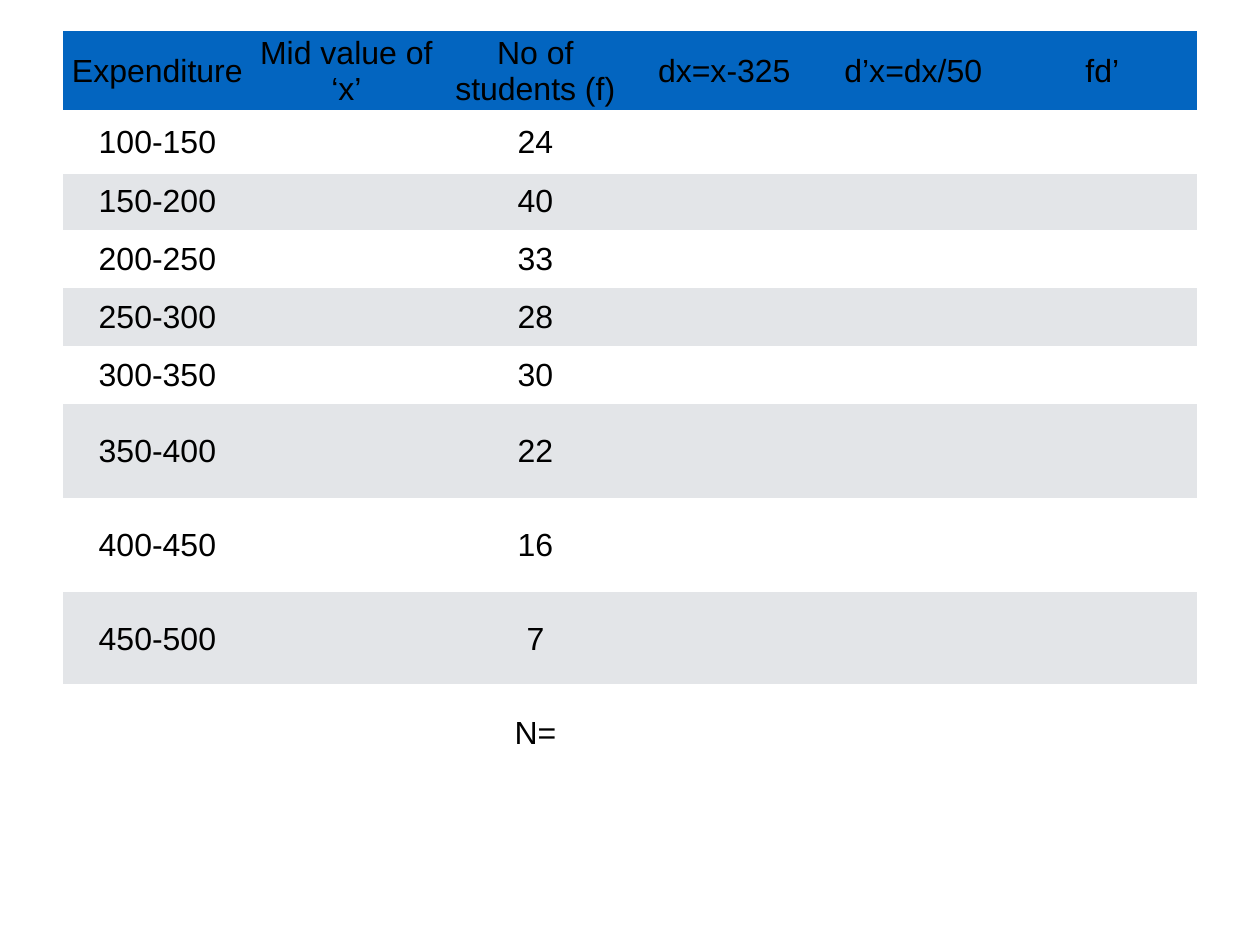
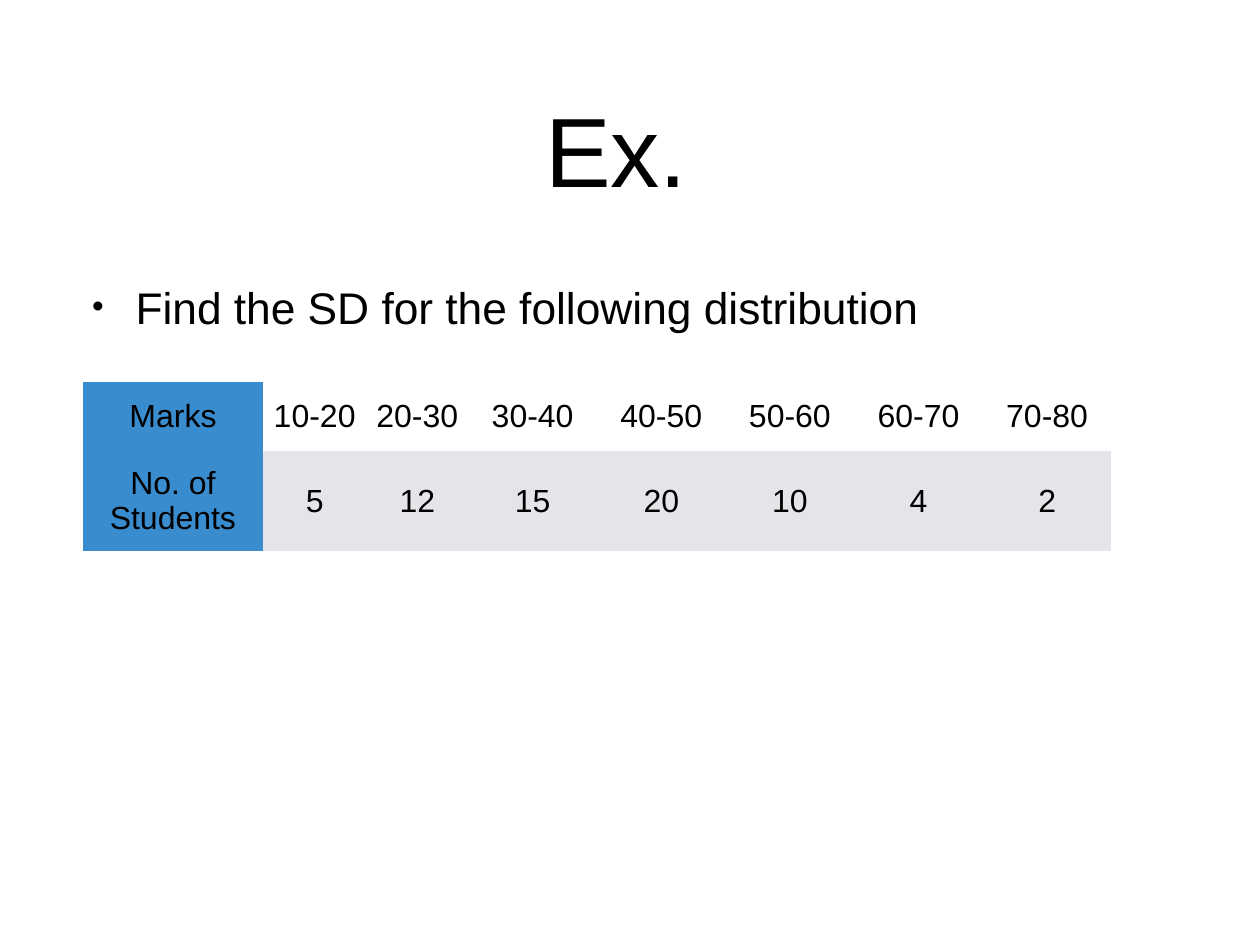
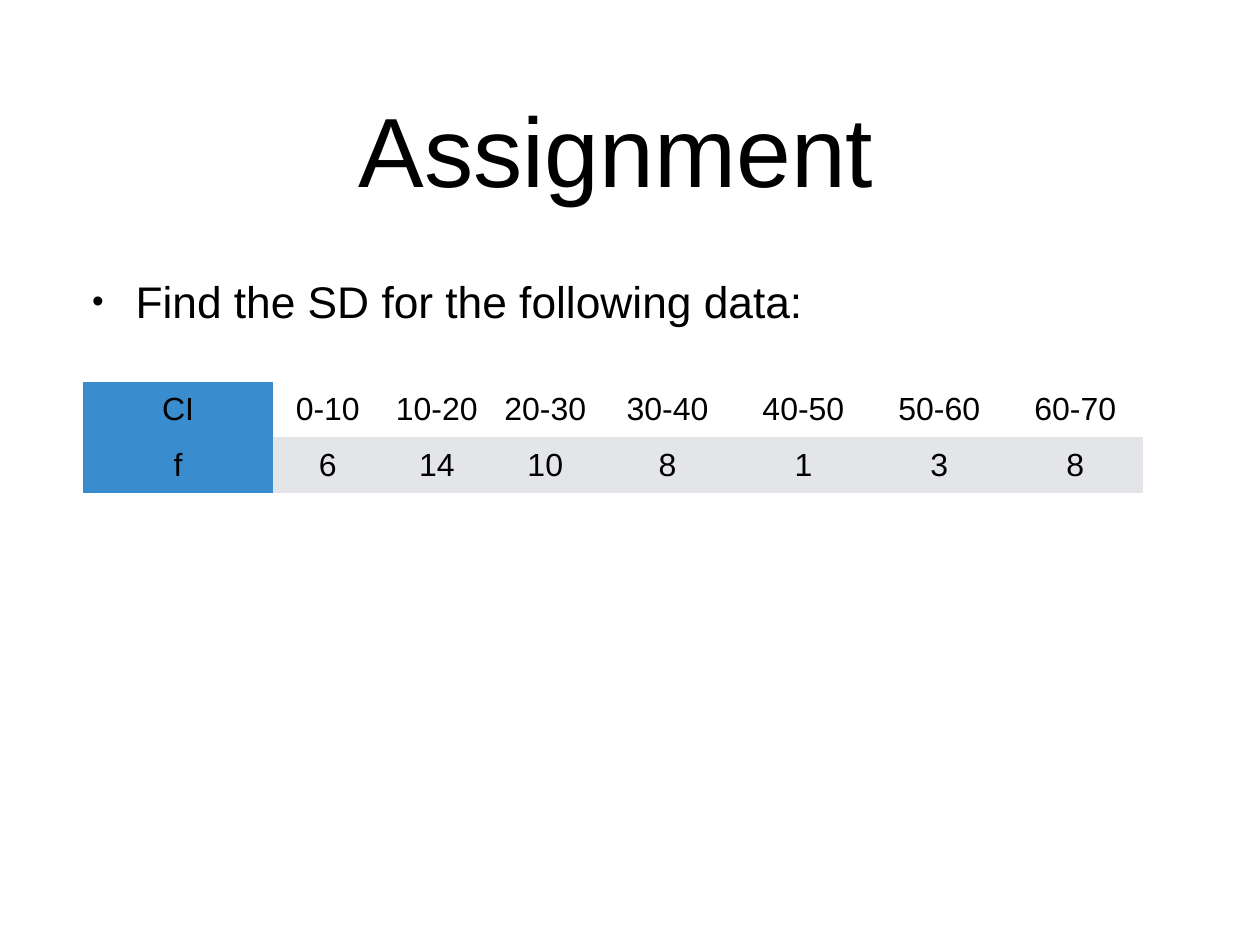
"""Builds three slides on standard deviation: a work table, an example and an assignment."""
import pptx
import pptx.util
import pptx.dml.color
import pptx.enum.text
import pptx.oxml
import pptx.oxml.ns

HUES = {"ink": "000000", "head": "0365C0", "side": "398CCE", "band": "E3E5E8", "page": "FFFFFF"}
FONT = "Arial"
ALIGN = pptx.enum.text.PP_ALIGN
MID = pptx.enum.text.MSO_ANCHOR.MIDDLE
NONE = pptx.enum.text.MSO_AUTO_SIZE.NONE
RGB = pptx.dml.color.RGBColor.from_string
PLAIN = "{2D5ABB26-0587-4C30-8999-92F81FD0307C}"
NS = pptx.oxml.ns.nsdecls("a")

deck = pptx.Presentation()
deck.slide_width = pptx.util.Inches(14.22)
deck.slide_height = pptx.util.Inches(10.67)
X = deck.slide_width / 100
Y = deck.slide_height / 100


def write(frame, words, size=26, align=ALIGN.CENTER, bullet=False):
    """Put one formatted paragraph into a text frame."""
    frame.word_wrap = True
    para = frame.paragraphs[0]
    if bullet:
        props = para._p.get_or_add_pPr()
        indent = pptx.util.Inches(0.49)
        props.set("marL", str(indent))
        props.set("indent", str(-indent))
        for tag in ('buSzPct {} val="75000"', 'buChar {} char="•"'):
            props.append(pptx.oxml.parse_xml("<a:" + tag.format(NS) + "/>"))
    para.alignment = align
    para.space_before = pptx.util.Pt(0)
    run = para.add_run()
    run.text = words
    run.font.size = pptx.util.Pt(size)
    run.font.name = FONT
    run.font.color.rgb = RGB(HUES["ink"])


def grid(slide, left, top, cols, rows, data, hue, rules=()):
    """Draw a table; lengths are percent of the slide, hue gives each cell its fill."""
    shape = slide.shapes.add_table(len(rows), len(cols), int(left * X), int(top * Y),
                                   int(sum(cols) * X), int(sum(rows) * Y))
    table = shape.table
    table._tbl.tblPr.find(pptx.oxml.ns.qn("a:tableStyleId")).text = PLAIN
    for col, width in zip(table.columns, cols):
        col.width = int(width * X)
    for r, (row, height) in enumerate(zip(table.rows, rows)):
        row.height = int(height * Y)
        for c, cell in enumerate(row.cells):
            cell.vertical_anchor = MID
            for side in ("left", "right", "top", "bottom"):
                setattr(cell, "margin_" + side, pptx.util.Inches(0.05))
            if data[r][c]:
                write(cell.text_frame, data[r][c])
            for edge, line in (("lnT", r - 1), ("lnB", r)):
                if line in rules:
                    cell._tc.get_or_add_tcPr().append(pptx.oxml.parse_xml(
                        f'<a:{edge} {NS} w="{pptx.util.Pt(3)}"><a:solidFill>'
                        f'<a:srgbClr val="{HUES["page"]}"/></a:solidFill></a:{edge}>'))
            cell.fill.solid()
            cell.fill.fore_color.rgb = RGB(HUES[hue(r, c)])


heads = ["Expenditure", "Mid value of ‘x’", "No of students (f)", "dx=x-325", "d’x=dx/50", "fd’"]
counts = [24, 40, 33, 28, 30, 22, 16, 7]
work = [heads]
for step, count in enumerate(counts):
    low = 100 + 50 * step
    work.append([f"{low}-{low + 50}", "", str(count), "", "", ""])
work.append(["", "", "N=", "", "", ""])
grid(deck.slides.add_slide(deck.slide_layouts[6]), 5, 3.28, [15] * 6,
     [8.57, 6.35] + [6.14] * 4 + [9.95] * 4, work,
     lambda r, c: "head" if r == 0 else ("band", "page")[r % 2], rules=(0, 8))

tasks = [
    dict(title="Ex. ", task="Find the SD for the following distribution", top=27.43,
         names=["Marks", "No. of Students"], start=10, counts=[5, 12, 15, 20, 10, 4, 2],
         cols=[14.29, 8.2, 8.1] + [10.21] * 5, rows=[7.3, 10.58]),
    dict(title="Assignment ", task="Find the SD for the following data:", top=26.87,
         names=["CI", "f"], start=0, counts=[6, 14, 10, 8, 1, 3, 8],
         cols=[15.08, 8.7, 8.61, 8.61] + [10.79] * 4, rows=[5.87] * 2),
]
for item in tasks:
    slide = deck.slides.add_slide(deck.slide_layouts[1])
    title, body = slide.placeholders
    for box, top, height in ((title, 4.59, 22.12), (body, item["top"], 10)):
        box.left, box.top = int(7.31 * X), int(top * Y)
        box.width, box.height = int(85.37 * X), int(height * Y)
        frame = box.text_frame
        frame.auto_size = NONE
        frame.vertical_anchor = MID
        frame.margin_left = frame.margin_right = frame.margin_top = frame.margin_bottom = 0
    write(title.text_frame, item["title"], size=80)
    write(body.text_frame, item["task"], size=36, align=ALIGN.LEFT, bullet=True)
    lows = [item["start"] + 10 * n for n in range(len(item["counts"]))]
    data = [item["names"][:1] + [f"{low}-{low + 10}" for low in lows],
            item["names"][1:] + [str(n) for n in item["counts"]]]
    grid(slide, 6.59, 40.42, item["cols"], item["rows"], data,
         lambda r, c: "side" if c == 0 else ("page", "band")[r])

deck.save("out.pptx")
